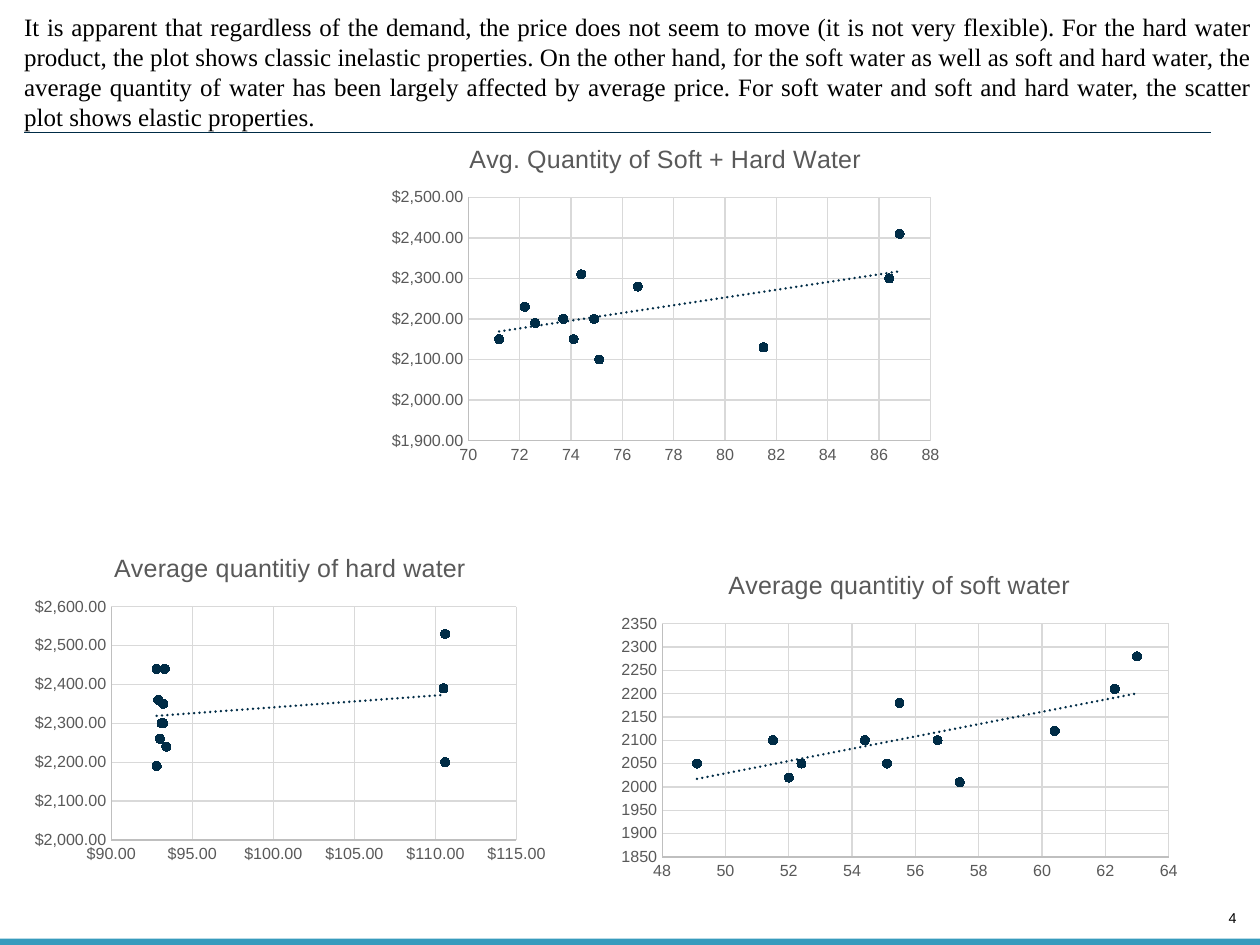
"""Build the water demand slide with three scatter charts."""
from dataclasses import dataclass

from lxml import etree
from pptx import Presentation
from pptx import util as u
from pptx.chart import data
from pptx.dml import color
from pptx.enum import chart as charts, shapes, text
from pptx.oxml import ns, parse_xml


@dataclass(frozen=True)
class Theme:
    """Colours, fonts and type sizes of the slide."""
    ink: str = "000000"
    grey: str = "595959"
    axis: str = "BFBFBF"
    grid: str = "D9D9D9"
    navy: str = "002C46"
    band: str = "379BBD"
    sans: str = "Arial"
    serif: str = "Times New Roman"
    body: float = 14
    heading: float = 14
    base: float = 10
    tick: float = 9
    number: float = 8


THEME = Theme()
WIDTH, HEIGHT = 705.6, 529.2
DOLLARS = '"$"#,##0.00'
MESSAGE = (
    "It is apparent that regardless of the demand, the price does not seem to move "
    "(it is not very flexible). For the hard water product, the plot shows classic "
    "inelastic properties. On the other hand, for the soft water as well as soft and "
    "hard water, the average quantity of water has been largely affected by average "
    "price. For soft water and soft and hard water, the scatter plot shows elastic "
    "properties."
)
BOTH_POINTS = [
    (86.4, 2300), (86.8, 2410), (81.5, 2130), (72.6, 2190), (71.2, 2150), (72.2, 2230),
    (76.6, 2280), (74.9, 2200), (74.1, 2150), (75.1, 2100), (73.7, 2200), (74.4, 2310),
]
HARD_POINTS = [
    (110.5, 2390), (110.6, 2530), (110.6, 2200), (93.2, 2350), (93.4, 2240), (92.9, 2360),
    (93.3, 2440), (93.1, 2300), (93.0, 2260), (92.8, 2190), (93.2, 2300), (92.8, 2440),
]
SOFT_POINTS = [
    (62.3, 2210), (63.0, 2280), (52.4, 2050), (52.0, 2020), (49.1, 2050), (51.5, 2100),
    (60.4, 2120), (56.7, 2100), (55.1, 2050), (57.4, 2010), (54.4, 2100), (55.5, 2180),
]


def rgb(value):
    """Return a colour object for a hex value."""
    return color.RGBColor.from_string(value)


def points(*lengths):
    """Convert lengths to points."""
    return [u.Pt(length) for length in lengths]


def style_font(font, size, tint, name=THEME.sans):
    """Set size, colour and typeface of a font."""
    font.size, font.name, font.bold = u.Pt(size), name, False
    font.color.rgb = rgb(tint)


def style_line(line, tint, width=0.75):
    """Set colour and width of a line."""
    line.color.rgb = rgb(tint)
    line.width = u.Pt(width)


def add_text(page, area, words, size, name, align):
    """Add a text box without margins."""
    frame = page.shapes.add_textbox(*points(*area)).text_frame
    frame.word_wrap = True
    frame.margin_left = frame.margin_right = frame.margin_top = frame.margin_bottom = 0
    para = frame.paragraphs[0]
    para.text, para.alignment = words, align
    style_font(para.font, size, THEME.ink, name)


def add_band(page, area):
    """Add the plain coloured band at the foot."""
    band = page.shapes.add_shape(shapes.MSO_SHAPE.RECTANGLE, *points(*area))
    band.shadow.inherit = False
    band.fill.solid()
    band.fill.fore_color.rgb = rgb(THEME.band)
    band.line.fill.background()


def add_rule(page, left, right, top):
    """Add a thin horizontal rule."""
    rule = page.shapes.add_connector(
        shapes.MSO_CONNECTOR.STRAIGHT, *points(left, top, right, top))
    style_line(rule.line, THEME.navy)
    etree.SubElement(rule.element.spPr, ns.qn("a:effectLst"))


def style_axis(axis, scale, number_format):
    """Set scale, labels and gridlines of an axis."""
    axis.minimum_scale, axis.maximum_scale, axis.major_unit = scale
    axis.major_tick_mark = axis.minor_tick_mark = charts.XL_TICK_MARK.NONE
    axis.has_major_gridlines = True
    style_line(axis.major_gridlines.format.line, THEME.grid)
    style_line(axis.format.line, THEME.axis)
    style_font(axis.tick_labels.font, THEME.tick, THEME.grey)
    axis.tick_labels.number_format = number_format
    axis.tick_labels.number_format_is_linked = False


def add_trend(series):
    """Add a dotted linear trend line to a series."""
    trend = parse_xml(
        f'<c:trendline {ns.nsdecls("c", "a")}><c:spPr><a:ln w="{u.Pt(1.5)}" cap="rnd">'
        f'<a:solidFill><a:srgbClr val="{THEME.navy}"/></a:solidFill>'
        '<a:prstDash val="sysDot"/></a:ln></c:spPr><c:trendlineType val="linear"/>'
        '<c:dispRSqr val="0"/><c:dispEq val="0"/></c:trendline>')
    series._element.find(ns.qn("c:xVal")).addprevious(trend)


def add_scatter(page, area, title, pairs, x_scale, y_scale, x_format, y_format):
    """Add a titled scatter chart with a trend line."""
    values = data.XyChartData()
    entry = values.add_series(title)
    for x, y in pairs:
        entry.add_data_point(x, y)
    chart = page.shapes.add_chart(
        charts.XL_CHART_TYPE.XY_SCATTER, *points(*area), values).chart
    style_font(chart.font, THEME.base, THEME.ink)
    chart.has_legend = False
    chart.has_title = True
    heading = chart.chart_title.text_frame
    heading.text = title
    style_font(heading.paragraphs[0].font, THEME.heading, THEME.grey)
    style_axis(chart.category_axis, x_scale, x_format)
    style_axis(chart.value_axis, y_scale, y_format)
    chart.plots[0].vary_by_categories = False
    series = chart.plots[0].series[0]
    series.format.line.fill.background()
    series.marker.style = charts.XL_MARKER_STYLE.CIRCLE
    series.marker.size = 5
    series.marker.format.fill.solid()
    series.marker.format.fill.fore_color.rgb = rgb(THEME.navy)
    style_line(series.marker.format.line, THEME.navy)
    add_trend(series)


def main():
    """Build and save the deck."""
    deck = Presentation()
    deck.slide_width, deck.slide_height = points(WIDTH, HEIGHT)
    page = deck.slides.add_slide(deck.slide_layouts[6])
    add_text(page, (682.5, 509, 10, 9.5), "4", THEME.number, THEME.sans,
             text.PP_ALIGN.RIGHT)
    add_band(page, (0, 525.6, WIDTH, 3.6))
    add_text(page, (13.5, 6.5, 688, 67.5), MESSAGE, THEME.body, THEME.serif,
             text.PP_ALIGN.JUSTIFY)
    add_rule(page, 13.5, 678, 74.3)
    add_scatter(page, (213, 69.5, 319.5, 194.5), "Avg. Quantity of Soft + Hard Water",
                BOTH_POINTS, (70, 88, 2), (1900, 2500, 100), "General", DOLLARS)
    add_scatter(page, (13.5, 299, 298, 188.5), "Average quantitiy of hard water",
                HARD_POINTS, (90, 115, 5), (2000, 2600, 100), DOLLARS, DOLLARS)
    add_scatter(page, (341.5, 308.5, 324.5, 188.5), "Average quantitiy of soft water",
                SOFT_POINTS, (48, 64, 2), (1850, 2350, 50), "General", "General")
    deck.save("out.pptx")


main()
